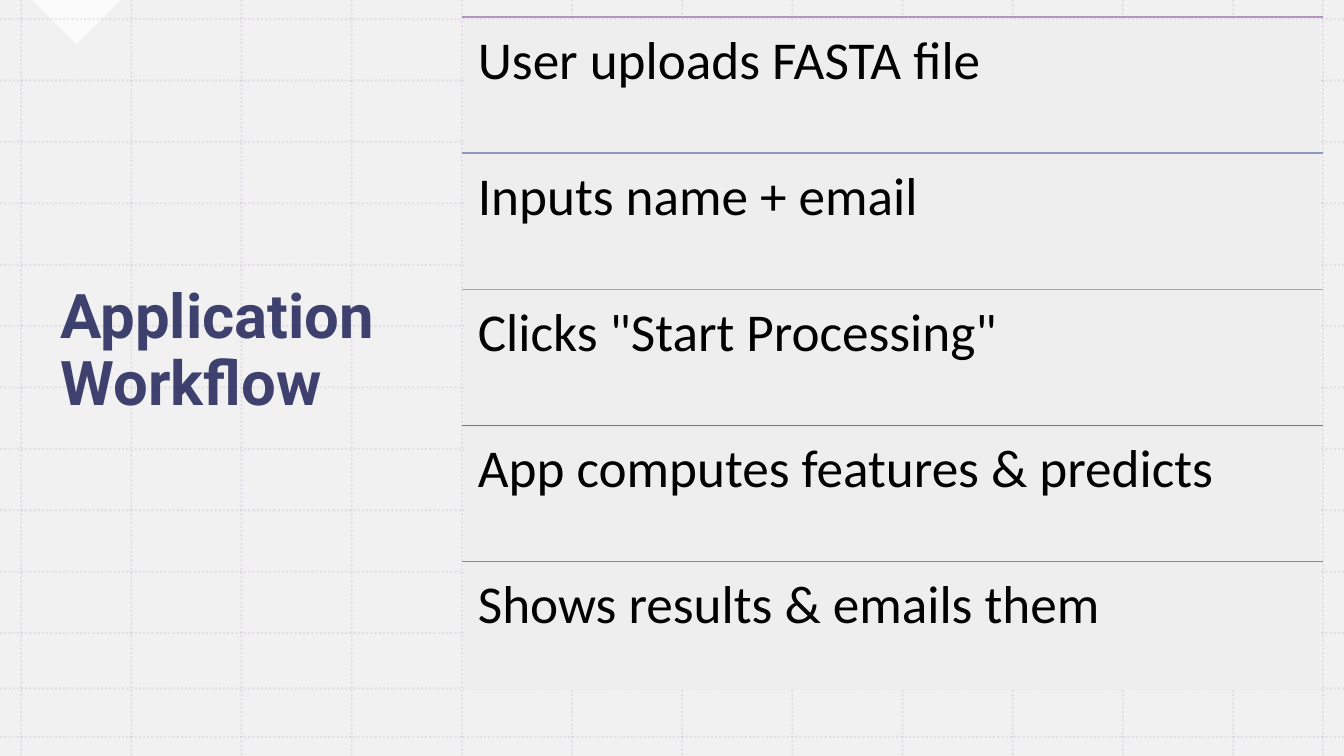
from lxml.etree import SubElement as Sub
from pptx import Presentation
from pptx.dml.color import RGBColor as Rgb
from pptx.enum.dml import MSO_LINE as Dash
from pptx.enum.shapes import MSO_CONNECTOR as Conn, MSO_SHAPE as Kind
from pptx.enum.text import MSO_ANCHOR as Anchor, PP_ALIGN as Align
from pptx.oxml.ns import qn
from pptx.util import Inches, Pt

HUES = {"white": "FFFFFF", "panel": "EEEEEE", "grid": "B495C2",
        "navy": "12154E", "black": "000000"}
WIDE, HIGH = 13.33, 7.5
LEFT, RIGHT = 4.58, 13.12
COLS = [0.21 + i * (12.23 - 0.21) / 11 for i in range(12)] + [RIGHT]
ROWS = [0.19 + i * 0.609 for i in range(11)] + [6.83, 7.31]
TOP, STEP = 0.17, 1.35
STEPS = [
    ("User uploads FASTA file", "B495C2"),
    ("Inputs name + email", "8F99BB"),
    ("Clicks \"Start Processing\"", "A3A3C1"),
    ("App computes features & predicts", "7162FE"),
    ("Shows results & emails them", "1EBE9B"),
]


def fade(node, share):
    """Make every colour below the node see-through to the given percentage."""
    for hue in node.iter(qn("a:srgbClr")):
        Sub(hue, qn("a:alpha"), val=str(share * 1000))


def write(frame, text, font="Calibri", size=38, hue="black", bold=False,
          anchor=Anchor.TOP, pads=(0.16, 0.16, 0.16, 0.16), share=100):
    """Fill a text frame with one formatted paragraph."""
    frame.word_wrap = True
    frame.vertical_anchor = anchor
    (frame.margin_left, frame.margin_top,
     frame.margin_right, frame.margin_bottom) = map(Inches, pads)
    para = frame.paragraphs[0]
    para.alignment = Align.LEFT
    para.line_spacing = 0.9
    run = para.add_run()
    run.text = text
    run.font.name, run.font.size, run.font.bold = font, Pt(size), bold
    run.font.color.rgb = Rgb.from_string(HUES[hue])
    if share < 100:
        fade(run.font._element, share)


class Page:
    """Hold the deck, its current slide and the drawing style."""

    def __init__(self):
        """Open a wide deck with one title-only slide."""
        self.deck = Presentation()
        self.deck.slide_width, self.deck.slide_height = Inches(WIDE), Inches(HIGH)
        self.slide = self.deck.slides.add_slide(self.deck.slide_layouts[5])
        fill = self.slide.background.fill
        fill.solid()
        fill.fore_color.rgb = Rgb.from_string(HUES["white"])

    def shape(self, kind, box, hue, share=100, turn=0):
        """Add a filled preset shape without outline."""
        item = self.slide.shapes.add_shape(kind, *map(Inches, box))
        item.shadow.inherit = False
        item.fill.solid()
        item.fill.fore_color.rgb = Rgb.from_string(HUES[hue])
        item.line.fill.background()
        item.rotation = turn
        if share < 100:
            fade(item.fill._xPr, share)

    def line(self, ends, hue, width=1, dash=None, share=100):
        """Add a straight line between two points."""
        item = self.slide.shapes.add_connector(Conn.STRAIGHT, *map(Inches, ends))
        item.line.width = Pt(width)
        item.line.color.rgb = Rgb.from_string(hue)
        if dash:
            item.line.dash_style = dash
        if share < 100:
            fade(item.line._ln, share)
        Sub(item._element.spPr, qn("a:effectLst"))

    def title(self, box, text, **look):
        """Place the title above what is drawn so far."""
        item = self.slide.shapes.title
        item.left, item.top, item.width, item.height = map(Inches, box)
        write(item.text_frame, text, **look)
        node = item._element
        node.getparent().append(node)

    def text(self, box, text, **look):
        """Add a text box."""
        item = self.slide.shapes.add_textbox(*map(Inches, box))
        write(item.text_frame, text, **look)


def main():
    """Build the workflow slide."""
    page = Page()
    page.shape(Kind.RECTANGLE, (0, 0, WIDE, HIGH), "panel", share=80)
    page.shape(Kind.RIGHT_TRIANGLE, (0.45, -0.31, 0.62, 0.62), "white",
               share=75, turn=315)
    ends = [(x, 0, x, HIGH) for x in COLS] + [(0, y, WIDE, y) for y in ROWS]
    for end in ends:
        page.line(end, HUES["grid"], 1.5, Dash.ROUND_DOT, 20)
    page.title((0.5, 0.79, 4.07, 6.05), "Application Workflow", font="Roboto",
               size=44, hue="navy", bold=True, anchor=Anchor.MIDDLE,
               pads=(0.1, 0.05, 0.1, 0.7), share=80)
    page.shape(Kind.RECTANGLE, (4.6, 0.21, 8.49, 6.63), "panel")
    for i, (text, hue) in enumerate(STEPS):
        y = TOP + i * STEP
        page.line((LEFT, y, RIGHT, y), hue)
        page.text((LEFT, y, RIGHT - LEFT, STEP), text)
    page.deck.save("out.pptx")


if __name__ == "__main__":
    main()
